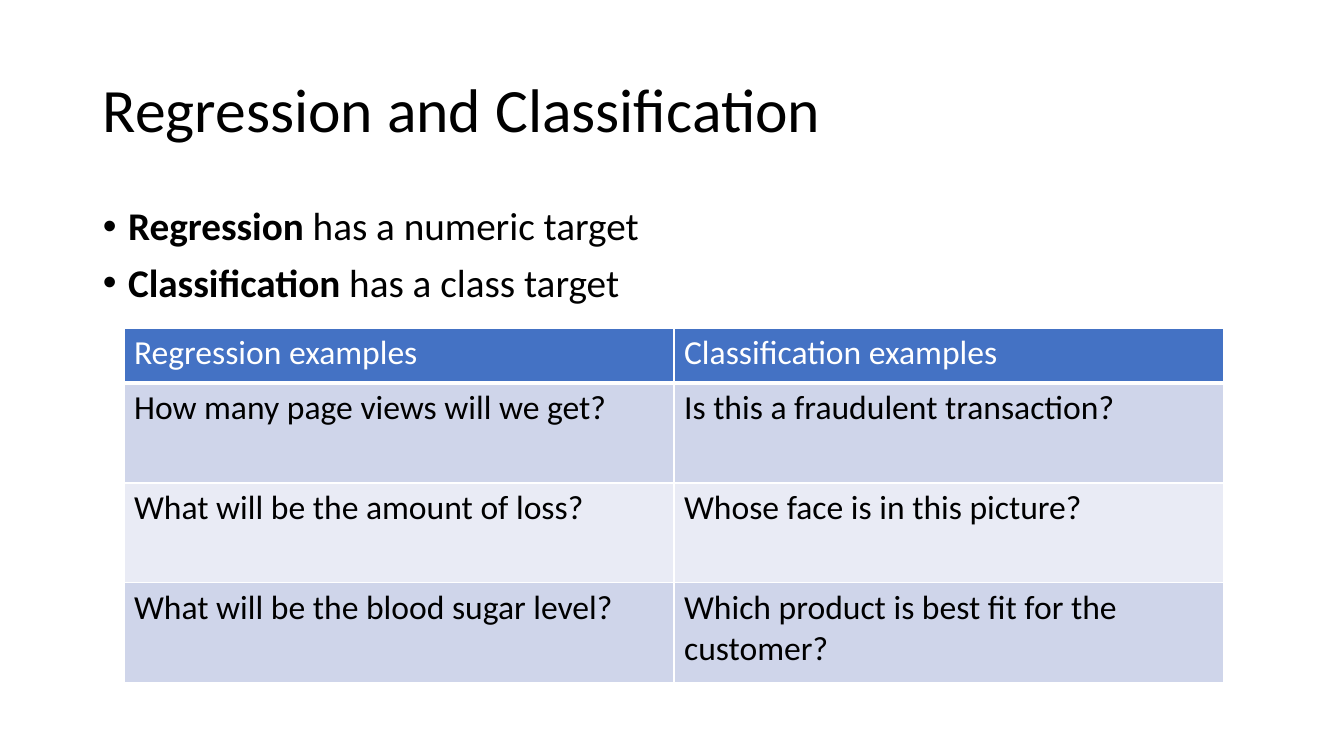
import pptx
import pptx.dml.color
import pptx.enum.text
import pptx.oxml
import pptx.oxml.ns
import pptx.util

PX = 914400 / 100.8
COLORS = {
    "text": "000000",
    "white": "FFFFFF",
    "header": "4472C4",
    "dark_band": "CFD5EA",
    "light_band": "E9EBF5",
}
ANCHOR = pptx.enum.text.MSO_ANCHOR


def px(n):
    return pptx.util.Emu(round(n * PX))


def rgb(name):
    return pptx.dml.color.RGBColor.from_string(COLORS[name])


class SlideBuilder:
    """Holds the text style and the current slide, and adds elements to it."""

    def __init__(self, s, font="Calibri"):
        self.s = s
        self.font = font

    def run(self, p, text, size, color="text", bold=False):
        r = p.add_run()
        r.text = text
        r.font.name = self.font
        r.font.size = pptx.util.Pt(size)
        r.font.bold = bold
        r.font.color.rgb = rgb(color)

    def text(self, box, paragraphs, size, anchor=ANCHOR.TOP, bullet=False):
        tf = self.s.shapes.add_textbox(*map(px, box)).text_frame
        tf.word_wrap = True
        tf.vertical_anchor = anchor
        for i, runs in enumerate(paragraphs):
            p = tf.add_paragraph() if i else tf.paragraphs[0]
            p.line_spacing = 0.9
            if bullet:
                p.space_before = pptx.util.Pt(10)
                self.bullet(p)
            for words, bold in runs:
                self.run(p, words, size, bold=bold)

    def bullet(self, p):
        pPr = p._p.get_or_add_pPr()
        pPr.set("marL", "228600")
        pPr.set("indent", "-228600")
        ns = pptx.oxml.ns.nsdecls("a")
        pPr.append(pptx.oxml.parse_xml(f'<a:buFont {ns} typeface="Arial"/>'))
        pPr.append(pptx.oxml.parse_xml(f'<a:buChar {ns} char="•"/>'))

    def borders(self, cell, bottom):
        tcPr = cell._tc.get_or_add_tcPr()
        for side, width in (("L", 1), ("R", 1), ("T", 1), ("B", bottom)):
            tcPr.append(pptx.oxml.parse_xml(
                f'<a:ln{side} {pptx.oxml.ns.nsdecls("a")} w="{width * 12700}">'
                f'<a:solidFill><a:srgbClr val="{COLORS["white"]}"/></a:solidFill>'
                f'</a:ln{side}>'))

    def table(self, left, top, col_width, heights, rows, size):
        cols = len(rows[0])
        table = self.s.shapes.add_table(
            len(rows), cols, px(left), px(top),
            px(col_width * cols), px(sum(heights))).table
        for col in table.columns:
            col.width = px(col_width)
        for i, (height, row) in enumerate(zip(heights, rows)):
            table.rows[i].height = px(height)
            band = "dark_band" if i % 2 else "light_band"
            for j, words in enumerate(row):
                cell = table.cell(i, j)
                self.borders(cell, 1 if i else 3)
                cell.fill.solid()
                cell.fill.fore_color.rgb = rgb(band if i else "header")
                p = cell.text_frame.paragraphs[0]
                self.run(p, words, size, "text" if i else "white")


def main():
    prs = pptx.Presentation()
    prs.slide_width, prs.slide_height = px(1344), px(756)
    builder = SlideBuilder(prs.slides.add_slide(prs.slide_layouts[6]))
    builder.text((93, 40, 1159, 146),
                 [[("Regression and Classification", False)]],
                 44, anchor=ANCHOR.MIDDLE)
    builder.text((93, 202, 1159, 480), [
        [("Regression", True), (" has a numeric target", False)],
        [("Classification", True), (" has a class target", False)],
    ], 28, bullet=True)
    builder.table(124, 328, 550, [55, 100, 100, 100], [
        ("Regression examples", "Classification examples"),
        ("How many page views will we get?", "Is this a fraudulent transaction?"),
        ("What will be the amount of loss?", "Whose face is in this picture?"),
        ("What will be the blood sugar level?",
         "Which product is best fit for the customer?"),
    ], 24)
    prs.save("out.pptx")


if __name__ == "__main__":
    main()
